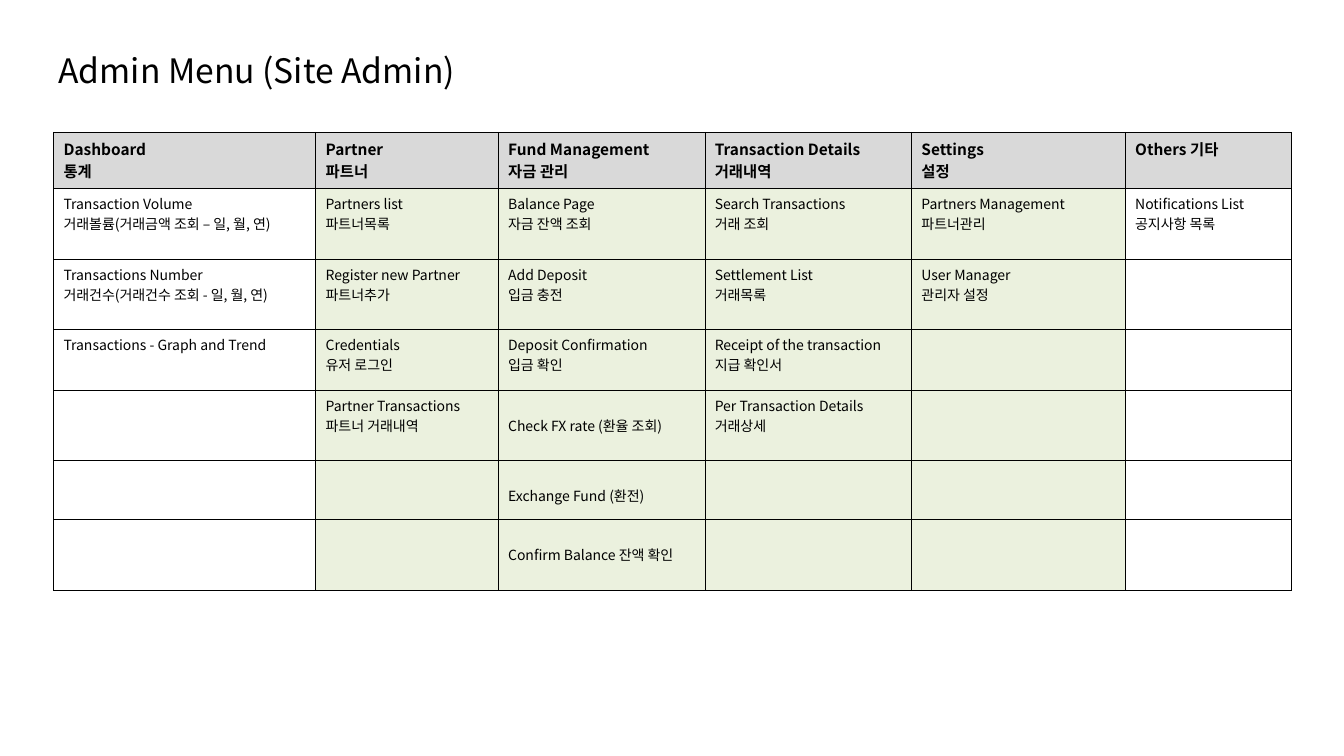
from lxml import etree
from pptx import Presentation
from pptx.dml.color import RGBColor
from pptx.enum import text
from pptx.oxml import ns
from pptx.util import Inches, Pt

FONT = "Noto Sans CJK KR"
BLACK = RGBColor(0x00, 0x00, 0x00)
WHITE = RGBColor(0xFF, 0xFF, 0xFF)
GREY = RGBColor(0xD9, 0xD9, 0xD9)
GREEN = RGBColor(0xEB, 0xF1, 0xDE)

COLUMN_WIDTHS = [2.6, 1.81, 2.05, 2.05, 2.12, 1.65]
ROW_HEIGHTS = [0.56, 0.7, 0.7, 0.6, 0.7, 0.58, 0.7]
MENU = [
    [["Dashboard", "통계"], ["Partner", "파트너"], ["Fund Management", "자금 관리"],
     ["Transaction Details", "거래내역"], ["Settings", "설정"], ["Others 기타"]],
    [["Transaction Volume", "거래볼륨(거래금액 조회 – 일, 월, 연)"],
     ["Partners list", "파트너목록"], ["Balance Page", "자금 잔액 조회"],
     ["Search Transactions", "거래 조회"], ["Partners Management", "파트너관리"],
     ["Notifications List", "공지사항 목록"]],
    [["Transactions Number", "거래건수(거래건수 조회 - 일, 월, 연)"],
     ["Register new Partner", "파트너추가"], ["Add Deposit", "입금 충전"],
     ["Settlement List", "거래목록"], ["User Manager", "관리자 설정"], []],
    [["Transactions - Graph and Trend"], ["Credentials", "유저 로그인"],
     ["Deposit Confirmation", "입금 확인"],
     ["Receipt of the transaction", "지급 확인서"], [], []],
    [[], ["Partner Transactions", "파트너 거래내역"], ["Check FX rate (환율 조회)"],
     ["Per Transaction Details", "거래상세"], [], []],
    [[], [], ["Exchange Fund (환전)"], [], [], []],
    [[], [], ["Confirm Balance 잔액 확인"], [], [], []],
]


def add_span(para, words, size, bold=False):
    span = para.add_run()
    span.text = words
    span.font.name = FONT
    span.font.size = Pt(size)
    span.font.bold = bold
    span.font.color.rgb = BLACK
    east_asian = etree.SubElement(span.font._element, ns.qn("a:ea"))
    east_asian.set("typeface", FONT)


def add_borders(cell):
    properties = cell._tc.get_or_add_tcPr()
    for position, side in enumerate(["lnL", "lnR", "lnT", "lnB"]):
        line = etree.Element(ns.qn("a:" + side), w=str(Pt(0.25)))
        fill = etree.SubElement(line, ns.qn("a:solidFill"))
        etree.SubElement(fill, ns.qn("a:srgbClr"), val=str(BLACK))
        properties.insert(position, line)


deck = Presentation()
deck.slide_width = Inches(13.33)
deck.slide_height = Inches(7.5)
page = deck.slides.add_slide(deck.slide_layouts[5])

title = page.shapes.title
title.left, title.top = Inches(0.48), Inches(0.44)
title.width, title.height = Inches(4.36), Inches(0.5)
title.text_frame.word_wrap = False
title.text_frame.auto_size = text.MSO_AUTO_SIZE.NONE
title.text_frame.vertical_anchor = text.MSO_ANCHOR.MIDDLE
heading = title.text_frame.paragraphs[0]
heading.alignment = text.PP_ALIGN.LEFT
add_span(heading, "Admin Menu (Site Admin)", 24)

frame = page.shapes.add_table(
    len(ROW_HEIGHTS), len(COLUMN_WIDTHS), Inches(0.53), Inches(1.31),
    Inches(sum(COLUMN_WIDTHS)), Inches(sum(ROW_HEIGHTS)))
table = frame.table
table.first_row = False
table.horz_banding = False
for column, width in zip(table.columns, COLUMN_WIDTHS):
    column.width = Inches(width)
for row, height in zip(table.rows, ROW_HEIGHTS):
    row.height = Inches(height)

for row_index, entries in enumerate(MENU):
    is_header = row_index == 0
    for column_index, lines in enumerate(entries):
        cell = table.cell(row_index, column_index)
        cell.fill.solid()
        if is_header:
            cell.fill.fore_color.rgb = GREY
        else:
            cell.fill.fore_color.rgb = GREEN if 1 <= column_index <= 4 else WHITE
        add_borders(cell)
        if row_index >= 4 and column_index == 2:
            cell.margin_top = Inches(0.25)
        cell.text_frame.paragraphs[0].font.size = Pt(10)
        for line_index, words in enumerate(lines):
            if line_index == 0:
                para = cell.text_frame.paragraphs[0]
            else:
                para = cell.text_frame.add_paragraph()
            add_span(para, words, 11 if is_header else 10, is_header)

deck.save("out.pptx")
